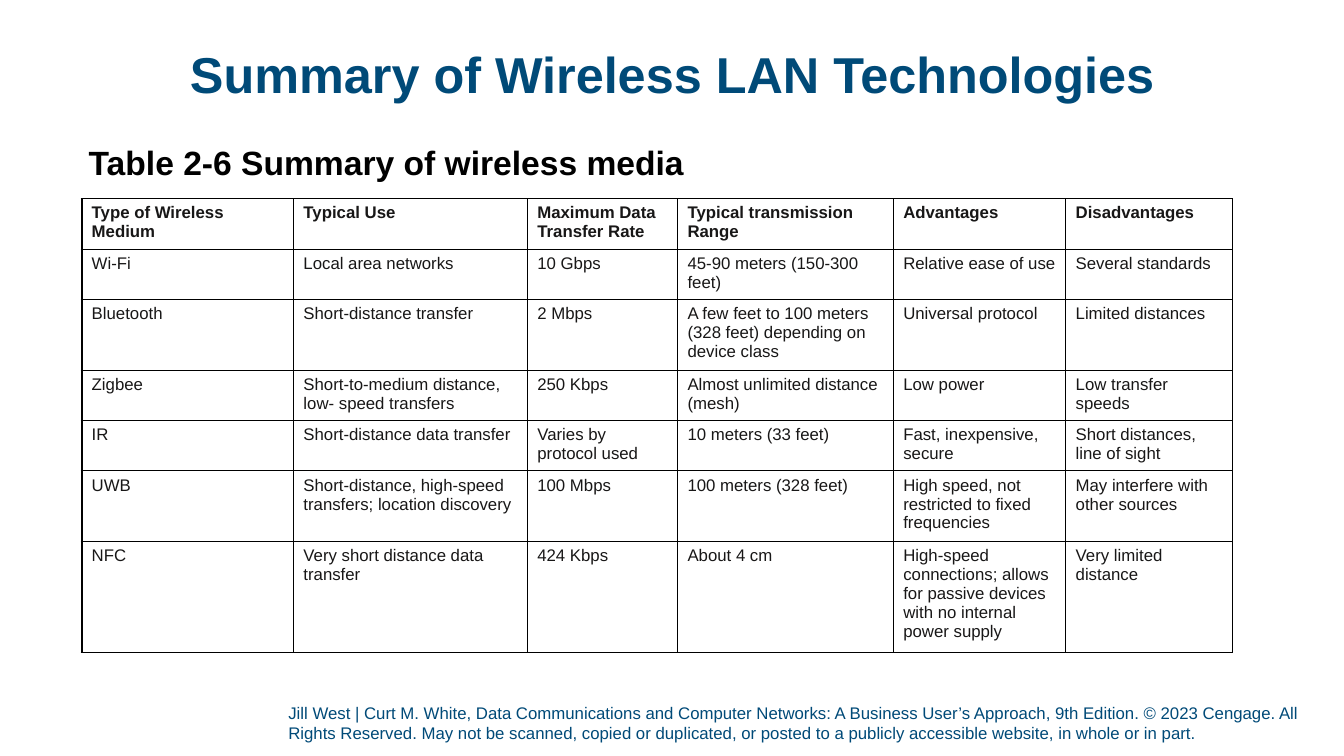
from dataclasses import dataclass

from lxml import etree
from pptx import Presentation
from pptx import util as u
from pptx.dml import color
from pptx.enum import text
from pptx.oxml import ns

WIDE, HIGH = u.Inches(13.33), u.Inches(7.5)
COLS, ROWS = 133.3, 75


@dataclass(frozen=True)
class Theme:
    face: str = "Arial"
    blue: str = "004A78"
    black: str = "000000"
    ink: str = "181717"
    title: int = 36
    head: int = 24
    body: int = 12
    rule: float = 0.75
    edge: float = 1.5


@dataclass(frozen=True)
class Box:
    left: float
    top: float
    wide: float
    high: float


@dataclass(frozen=True)
class Label:
    words: str
    box: Box
    size: int
    tint: str
    bold: bool = False
    align: text.PP_ALIGN = text.PP_ALIGN.LEFT
    anchor: text.MSO_ANCHOR = text.MSO_ANCHOR.TOP
    base: float = 0
    lead: float = 1.0


THEME = Theme()

LABELS = [
    Label(
        "Jill West | Curt M. White, Data Communications and Computer Networks: "
        "A Business User’s Approach, 9th Edition. © 2023 Cengage. All Rights Reserved. "
        "May not be scanned, copied or duplicated, or posted to a publicly accessible "
        "website, in whole or in part.",
        Box(28.6, 69.7, 103.4, 4.5), THEME.body, THEME.blue,
        anchor=text.MSO_ANCHOR.BOTTOM, base=0.5,
    ),
    Label(
        "Summary of Wireless LAN Technologies",
        Box(9.2, 4, 115, 7.4), THEME.title, THEME.blue, bold=True,
        align=text.PP_ALIGN.CENTER, anchor=text.MSO_ANCHOR.MIDDLE, lead=0.9,
    ),
    Label(
        "Table 2-6 Summary of wireless media",
        Box(8.8, 14.1, 61.5, 5.3), THEME.head, THEME.black, bold=True,
    ),
]

SPANS = [21, 23.2, 14.9, 21.4, 17.1, 16.5]
FIRST, REST = 3.6, 4.1
MEDIA = [
    ("Type of Wireless Medium", "Typical Use", "Maximum Data Transfer Rate",
     "Typical transmission Range", "Advantages", "Disadvantages"),
    ("Wi-Fi", "Local area networks", "10 Gbps", "45-90 meters (150-300 feet)",
     "Relative ease of use", "Several standards"),
    ("Bluetooth", "Short-distance transfer", "2 Mbps",
     "A few feet to 100 meters (328 feet) depending on device class",
     "Universal protocol", "Limited distances"),
    ("Zigbee", "Short-to-medium distance, low- speed transfers", "250 Kbps",
     "Almost unlimited distance (mesh)", "Low power", "Low transfer speeds"),
    ("IR", "Short-distance data transfer", "Varies by protocol used",
     "10 meters (33 feet)", "Fast, inexpensive, secure",
     "Short distances, line of sight"),
    ("UWB", "Short-distance, high-speed transfers; location discovery", "100 Mbps",
     "100 meters (328 feet)", "High speed, not restricted to fixed frequencies",
     "May interfere with other sources"),
    ("NFC", "Very short distance data transfer", "424 Kbps", "About 4 cm",
     "High-speed connections; allows for passive devices with no internal power supply",
     "Very limited distance"),
]


def across(cols: float) -> int:
    return round(WIDE * cols / COLS)


def down(rows: float) -> int:
    return round(HIGH * rows / ROWS)


def place(box: Box) -> tuple[int, int, int, int]:
    return across(box.left), down(box.top), across(box.wide), down(box.high)


def style(para, size: int, tint: str, bold: bool) -> None:
    font = para.font
    font.name, font.size, font.bold = THEME.face, u.Pt(size), bold
    font.color.rgb = color.RGBColor.from_string(tint)


def write(slide, label: Label) -> None:
    frame = slide.shapes.add_textbox(*place(label.box)).text_frame
    frame.word_wrap = True
    frame.vertical_anchor = label.anchor
    frame.margin_left = frame.margin_right = frame.margin_top = 0
    frame.margin_bottom = down(label.base)
    para = frame.paragraphs[0]
    para.text = label.words
    para.alignment = label.align
    para.line_spacing = label.lead
    style(para, label.size, label.tint, label.bold)


def border(cell, outer: bool) -> None:
    props = cell._tc.get_or_add_tcPr()
    for side in "LRTB":
        width = THEME.edge if outer and side == "L" else THEME.rule
        line = etree.SubElement(props, ns.qn(f"a:ln{side}"), w=str(u.Pt(width)))
        fill = etree.SubElement(line, ns.qn("a:solidFill"))
        etree.SubElement(fill, ns.qn("a:srgbClr"), val=THEME.black)


def tabulate(slide) -> None:
    box = Box(8.1, 19.7, sum(SPANS), FIRST + REST * (len(MEDIA) - 1))
    table = slide.shapes.add_table(len(MEDIA), len(SPANS), *place(box)).table
    table.horz_banding = False
    for col, span in zip(table.columns, SPANS):
        col.width = across(span)
    for i, (row, words) in enumerate(zip(table.rows, MEDIA)):
        row.height = down(REST if i else FIRST)
        for j, (cell, word) in enumerate(zip(row.cells, words)):
            cell.text = word
            style(cell.text_frame.paragraphs[0], THEME.body, THEME.ink, i == 0)
            border(cell, j == 0)
            cell.fill.background()


def main() -> None:
    deck = Presentation()
    deck.slide_width, deck.slide_height = WIDE, HIGH
    slide = deck.slides.add_slide(deck.slide_layouts[6])
    for label in LABELS:
        write(slide, label)
    tabulate(slide)
    deck.save("out.pptx")


if __name__ == "__main__":
    main()
